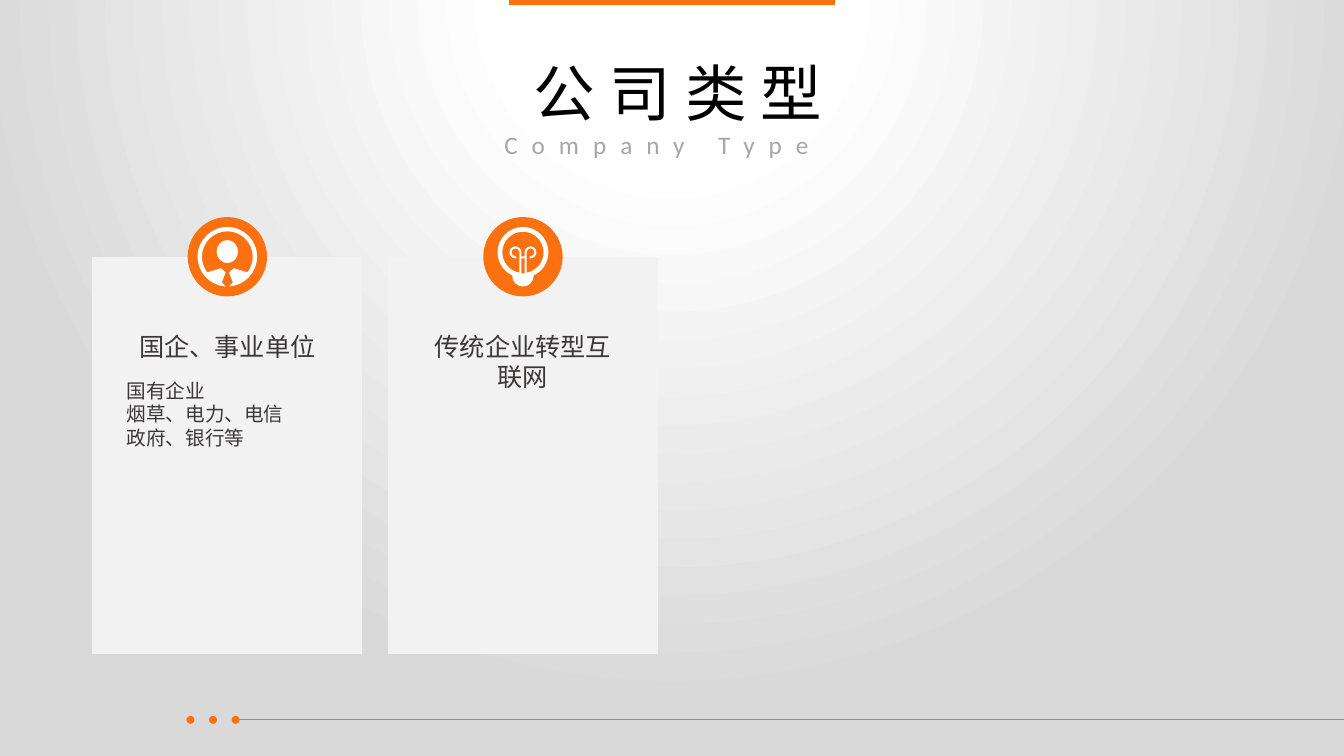
from dataclasses import dataclass
from math import ceil, cos, floor, radians, sin, tan

from pptx import Presentation
from pptx.dml.color import RGBColor
from pptx.enum.shapes import MSO_CONNECTOR, MSO_SHAPE
from pptx.enum.text import MSO_ANCHOR, MSO_AUTO_SIZE, PP_ALIGN
from pptx.oxml import parse_xml
from pptx.oxml.ns import nsdecls
from pptx.util import Cm, Pt

RECT, OVAL, CARD = MSO_SHAPE.RECTANGLE, MSO_SHAPE.OVAL, MSO_SHAPE.FLOWCHART_PROCESS
LEFT, CENTER = PP_ALIGN.LEFT, PP_ALIGN.CENTER
SLIDE_W, SLIDE_H = 33.87, 19.05


@dataclass(frozen=True)
class Theme:
    accent: str = "FB710F"
    panel: str = "F2F2F2"
    white: str = "FFFFFF"
    backdrop: str = "D9D9D9"
    rule: str = "8F8F8F"
    title: str = "000000"
    subtitle: str = "A6A6A6"
    text: str = "3B3838"
    font: str = "Calibri"
    title_size: int = 44
    heading_size: int = 18
    body_size: int = 14
    spacing: int = 1000  # hundredths of a point


THEME = Theme()


# Basic parts
def paint(shape, color):
    shape.shadow.inherit = False
    shape.fill.solid()
    shape.fill.fore_color.rgb = RGBColor.from_string(color)
    shape.line.fill.background()


def add_block(shapes, kind, x, y, w, h, color):
    paint(shapes.add_shape(kind, Cm(x), Cm(y), Cm(w), Cm(h)), color)


def format_text(frame, size, color, align, spacing=None):
    for paragraph in frame.paragraphs:
        paragraph.alignment = align
        for run in paragraph.runs:
            run.font.name = THEME.font
            run.font.size = Pt(size)
            run.font.color.rgb = RGBColor.from_string(color)
            if spacing:
                run.font._element.set("spc", str(spacing))


def add_text(slide, x, y, w, h, text, size, color, align, wrap=True, spacing=None):
    frame = slide.shapes.add_textbox(Cm(x), Cm(y), Cm(w), Cm(h)).text_frame
    frame.word_wrap = wrap
    frame.auto_size = MSO_AUTO_SIZE.SHAPE_TO_FIT_TEXT
    frame.text = text
    format_text(frame, size, color, align, spacing)


# Icon contours, in cm from the badge centre, y pointing down.
# A step of one point is a line, a step of three points is a Bezier curve.
def corners(*points):
    return [[point] for point in points]


def arc(cx, cy, rx, ry, start, end):
    low, high = sorted((start, end))
    quarters = [90 * i for i in range(floor(low / 90) + 1, ceil(high / 90))]
    stops = [radians(a) for a in sorted([low, *quarters, high], reverse=end < start)]
    steps = [[(cx + rx * cos(stops[0]), cy + ry * sin(stops[0]))]]
    for a, b in zip(stops, stops[1:]):
        pull = 4 / 3 * tan((b - a) / 4)
        steps.append([
            (cx + rx * (cos(a) - pull * sin(a)), cy + ry * (sin(a) + pull * cos(a))),
            (cx + rx * (cos(b) + pull * sin(b)), cy + ry * (sin(b) - pull * cos(b))),
            (cx + rx * cos(b), cy + ry * sin(b))])
    return steps


def mirror(steps):
    return [[(-x, y) for x, y in step] for step in steps]


def person_icon():
    head = arc(0, -0.13, 0.27, 0.29, 0, 360)
    collar = corners((-0.04, 0.75), (-0.14, 0.65), (-0.04, 0.39), (-0.17, 0.29))
    body = (collar + arc(0, 0, 0.64, 0.64, 142, 398)
            + mirror(collar[::-1]) + arc(0, 0, 0.75, 0.75, 87, -267))
    return [head, body]


def bulb_icon():
    glass_y = -0.11
    outline = (arc(0, glass_y, 0.64, 0.64, 114, 426)
               + arc(0, 0.48, 0.27, 0.27, 0, 180))
    slit = corners((-0.04, 0.04), (0.04, 0.04), (0.04, 0.42), (-0.04, 0.42))
    stem = corners((0.09, 0.39), (0.09, glass_y), (0.04, glass_y), (0.04, -0.01))
    inside = stem + mirror(stem[::-1]) + arc(0, glass_y, 0.52, 0.52, 100, 440)
    loop = (arc(-0.19, glass_y, 0.15, 0.15, 0, -280)
            + arc(-0.19, glass_y, 0.10, 0.10, -280, 0))
    return [outline, slit, inside, loop, mirror(loop)]


def add_icon(shapes, cx, cy, contours):
    placed = [[(Cm(cx + x), Cm(cy + y)) for step in contour for x, y in step]
              for contour in contours]
    outline = shapes.build_freeform(*placed[0][0], scale=1.0)
    outline.add_line_segments(placed[0][1:], close=True)
    for points in placed[1:]:
        outline.move_to(*points[0])
        outline.add_line_segments(points[1:], close=True)
    icon = outline.convert_to_shape()
    paint(icon, THEME.white)
    # Join each run of three points into one curve
    lines = iter(icon._element.xpath(".//a:lnTo"))
    for step in (step for contour in contours for step in contour[1:]):
        group = [next(lines) for _ in step]
        if len(group) == 3:
            curve = parse_xml(f'<a:cubicBezTo {nsdecls("a")}/>')
            group[0].addprevious(curve)
            for line in group:
                curve.append(line[0])
                line.getparent().remove(line)


def add_badge(slide, cx, cy, contours, diameter=2):
    badge = slide.shapes.add_group_shape().shapes
    add_block(badge, OVAL, cx - diameter / 2, cy - diameter / 2,
              diameter, diameter, THEME.accent)
    add_icon(badge, cx, cy, contours)


# Regions
def set_background(slide):
    slide.background.fill.solid()
    holder = slide._element.xpath("./p:cSld/p:bg/p:bgPr")[0]
    gradient = parse_xml(
        f'<a:gradFill rotWithShape="1" {nsdecls("a")}><a:gsLst>'
        f'<a:gs pos="22000"><a:srgbClr val="{THEME.white}"/></a:gs>'
        f'<a:gs pos="92000"><a:srgbClr val="{THEME.backdrop}"/></a:gs></a:gsLst>'
        '<a:path path="circle"><a:fillToRect l="50000" t="-80000" r="50000" b="180000"/>'
        '</a:path></a:gradFill>')
    holder.replace(holder[0], gradient)


def add_footer(slide, x, y, dot=0.2, pitch=0.57, dots=3):
    line_x = x + (dots - 1) * pitch + dot / 2
    rule = slide.shapes.add_connector(MSO_CONNECTOR.STRAIGHT, Cm(line_x), Cm(y),
                                      Cm(SLIDE_W), Cm(y))
    rule.line.color.rgb = RGBColor.from_string(THEME.rule)
    rule.line.width = Pt(0.75)
    rule._element.spPr.append(parse_xml(f'<a:effectLst {nsdecls("a")}/>'))
    for i in range(dots):
        add_block(slide.shapes, OVAL, x + i * pitch, y - dot / 2, dot, dot, THEME.accent)


def add_header(slide, x, y, w, h):
    add_block(slide.shapes, RECT, x + 10.5, 0, 8.21, 0.13, THEME.accent)
    title = slide.shapes.title
    title.left, title.top, title.width, title.height = Cm(x), Cm(y), Cm(w), Cm(h)
    frame = title.text_frame
    frame.text = " 公司类型"
    frame.vertical_anchor = MSO_ANCHOR.MIDDLE
    frame.paragraphs[0].line_spacing = 0.9
    format_text(frame, THEME.title_size, THEME.title, CENTER, THEME.spacing)
    add_text(slide, x + 10.13, y + 2.54, 8.61, 1.02, "Company Type", THEME.heading_size,
             THEME.subtitle, LEFT, wrap=False, spacing=THEME.spacing)


def add_card(slide, x, y, w, h, heading, body, contours):
    add_block(slide.shapes, CARD, x, y, w, h, THEME.panel)
    add_badge(slide, x + w / 2, y - 0.01, contours)
    add_text(slide, x + 0.89, y + 1.75, w - 1.78, 1.02, heading,
             THEME.heading_size, THEME.text, CENTER)
    if body:
        add_text(slide, x + 0.61, y + 2.94, w - 1.25, 2.06, body,
                 THEME.body_size, THEME.text, LEFT)


def main():
    deck = Presentation()
    deck.slide_width, deck.slide_height = Cm(SLIDE_W), Cm(SLIDE_H)
    slide = deck.slides.add_slide(deck.slide_layouts[5])
    set_background(slide)
    add_footer(slide, 4.7, 18.14)
    add_header(slide, 2.33, 0.59, 28.83, 3.68)
    company_types = [
        ("国企、事业单位", "国有企业\n烟草、电力、电信\n政府、银行等", person_icon()),
        ("传统企业转型互联网", "", bulb_icon()),
    ]
    for i, company_type in enumerate(company_types):
        add_card(slide, 2.33 + i * 7.45, 6.48, 6.8, 10, *company_type)
    deck.save("out.pptx")


if __name__ == "__main__":
    main()
